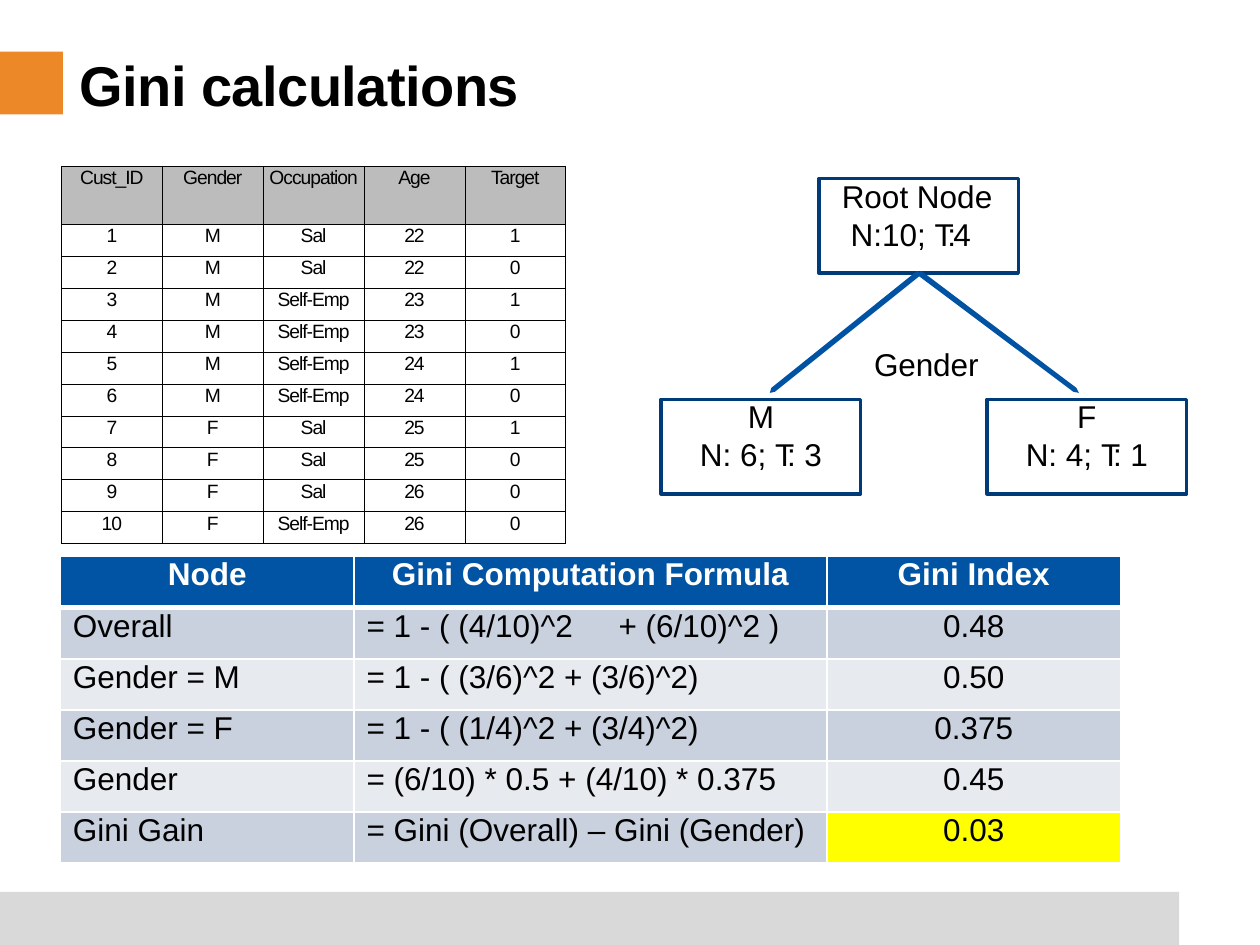
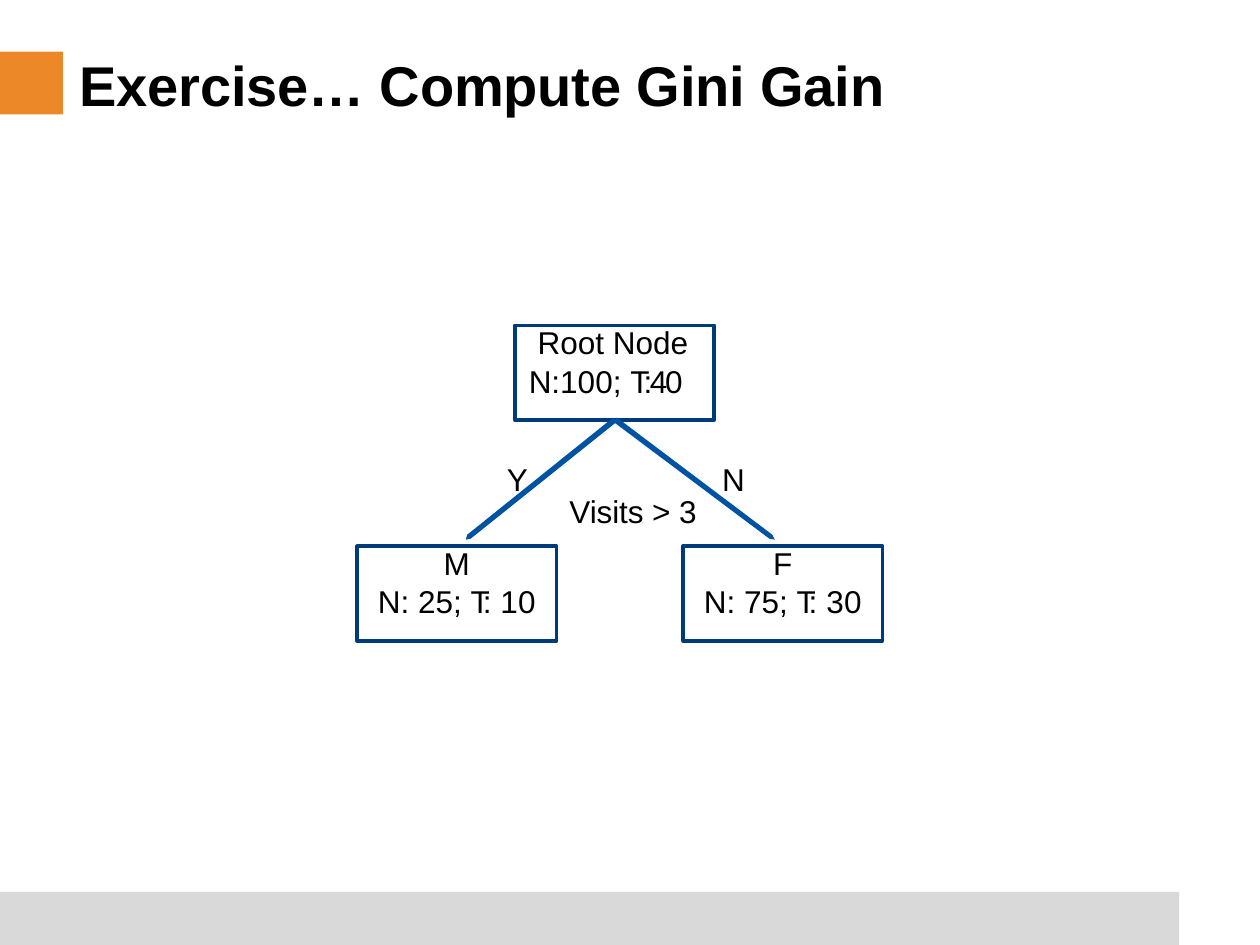
from lxml import etree
from pptx import Presentation, util as u
from pptx.dml.color import RGBColor
from pptx.enum import shapes, text
from pptx.oxml.ns import qn

THEME = {
    "font": "Arial",
    "sizes": {"title": 32, "body": 18, "data": 11},
    "colors": {
        "ink": "000000", "paper": "FFFFFF", "accent": "ED8829", "footer": "D9D9D9",
        "outline": "003B79", "branch": "0052A3", "head": "0054A3", "data_head": "BCBCBC",
        "odd": "C9D1DF", "even": "E7EAEF", "mark": "FFFF00",
    },
}
LEFT, CENTER = text.PP_ALIGN.LEFT, text.PP_ALIGN.CENTER

CUSTOMERS = [
    ("Cust_ID", "Gender", "Occupation", "Age", "Target"),
    ("1", "M", "Sal", "22", "1"),
    ("2", "M", "Sal", "22", "0"),
    ("3", "M", "Self-Emp", "23", "1"),
    ("4", "M", "Self-Emp", "23", "0"),
    ("5", "M", "Self-Emp", "24", "1"),
    ("6", "M", "Self-Emp", "24", "0"),
    ("7", "F", "Sal", "25", "1"),
    ("8", "F", "Sal", "25", "0"),
    ("9", "F", "Sal", "26", "0"),
    ("10", "F", "Self-Emp", "26", "0"),
]
GINI = [
    ("Node", "Gini Computation Formula", "Gini Index"),
    ("Overall", "= 1 - ( (4/10)^2\t+ (6/10)^2 )", "0.48"),
    ("Gender = M", "= 1 - ( (3/6)^2 + (3/6)^2)", "0.50"),
    ("Gender = F", "= 1 - ( (1/4)^2 + (3/4)^2)", "0.375"),
    ("Gender", "= (6/10) * 0.5 + (4/10) * 0.375", "0.45"),
    ("Gini Gain", "= Gini (Overall) – Gini (Gender)", "0.03"),
]
SLIDES = [
    {
        "title": [("Gini calculations", -0.3)], "title_width": 9.2, "root_at": (16.51, 3.6),
        "root": [("N:10; ", 0), ("T:4", -1.7)], "root_indent": 0.64,
        "left": [("N: 6; ", 0), ("T:", -2.1), (" 3", -0.1)],
        "right": [("N: 4; ", 0), ("T:", -2.1), (" 1", -0.1)],
        "labels": [("Gender", 17.62, 6.93, 2.5)],
    },
    {
        "title": [("Exercise… ", -0.1), ("Compute Gini Gain", -0.1)],
        "title_width": 17, "root_at": (10.38, 6.56),
        "root": [("N:100; ", 0), ("T:40", -1.4)], "root_indent": 0.28,
        "left": [("N: 25; ", 0), ("T:", -2.1), (" 10", 0.1)],
        "right": [("N: 75; ", 0), ("T:", -2.1), (" 30", 0.1)],
        "labels": [("Visits > 3", 11.48, 9.88, 3), ("Y", 10.22, 9.25, 0.6),
                   ("N", 14.56, 9.25, 0.6)],
    },
]

NODE_SIZE = (4.02, 1.91)
CHILD_SHIFTS = {"left": (-3.18, 4.45), "right": (3.39, 4.45)}
BRANCHES = [
    [(-0.03, -0.05), (-2.97, 2.31), (-3.0, 2.41), (-2.9, 2.39), (0.05, 0.03)],
    [(0.05, -0.05), (-0.03, 0.03), (3.12, 2.39), (3.23, 2.41), (3.18, 2.31)],
]


def lengths(*values):
    return [u.Cm(value) for value in values]


def color(name):
    return RGBColor.from_string(THEME["colors"][name])


def apply(target, formats):
    for name, value in formats.items():
        setattr(target, name, value)


def paint(fill, name):
    fill.solid()
    fill.fore_color.rgb = color(name)


def prepare(frame, top=0.0, wrap=True):
    apply(frame, {
        "margin_left": 0, "margin_right": 0, "margin_top": u.Cm(top), "margin_bottom": 0,
        "word_wrap": wrap, "auto_size": text.MSO_AUTO_SIZE.NONE,
        "vertical_anchor": text.MSO_ANCHOR.TOP,
    })


def write(para, runs, size="body", ink="ink", bold=False, align=LEFT,
          indent=0, line=None, before=0):
    apply(para, {"alignment": align, "space_before": u.Pt(before)})
    if line:
        para.line_spacing = u.Pt(line)
    if indent:
        props = para._p.get_or_add_pPr()
        props.set("marL", str(u.Cm(indent)))
        props.set("indent", "0")
    for words, spacing in runs:
        span = para.add_run()
        span.text = words
        apply(span.font, {"name": THEME["font"], "bold": bold,
                          "size": u.Pt(THEME["sizes"][size])})
        span.font.color.rgb = color(ink)
        if spacing:
            span._r.get_or_add_rPr().set("spc", str(round(spacing * 100)))


def add_band(page, layout, place, fill):
    band = page.shapes.add_shape(shapes.MSO_SHAPE.RECTANGLE, *lengths(*place))
    band.shadow.inherit = False
    paint(band.fill, fill)
    band.line.fill.background()
    layout.shapes._spTree.insert(2, band._element)


def add_title(page, runs, width):
    title = page.shapes.title
    apply(title, dict(zip(("left", "top", "width", "height"),
                          lengths(1.6, 0.99, width, 1.42))))
    prepare(title.text_frame, 0.03)
    write(title.text_frame.paragraphs[0], runs, "title", bold=True, before=0.9)


def add_node(page, left, top, name, counts, align=CENTER, indents=(0, 0)):
    box = page.shapes.add_shape(shapes.MSO_SHAPE.RECTANGLE,
                                *lengths(left, top, *NODE_SIZE))
    box.shadow.inherit = False
    box.fill.background()
    box.line.color.rgb = color("outline")
    box.line.width = u.Pt(2)
    frame = box.text_frame
    prepare(frame)
    write(frame.paragraphs[0], [(name, 0)], align=align, indent=indents[0], line=20.5)
    write(frame.add_paragraph(), counts, align=align, indent=indents[1], before=0.2)


def add_branch(page, x, y, outline):
    points = [tuple(lengths(x + dx, y + dy)) for dx, dy in outline]
    builder = page.shapes.build_freeform(*points[0])
    builder.add_line_segments(points[1:], close=True)
    branch = builder.convert_to_shape()
    branch.shadow.inherit = False
    paint(branch.fill, "branch")
    branch.line.fill.background()


def add_tree(page, content):
    left, top = content["root_at"]
    add_node(page, left, top, "Root Node", content["root"], LEFT,
             (0.46, content["root_indent"]))
    for name, side in (("M", "left"), ("F", "right")):
        dx, dy = CHILD_SHIFTS[side]
        add_node(page, left + dx, top + dy, name, content[side])
    for outline in BRANCHES:
        add_branch(page, left + NODE_SIZE[0] / 2, top + NODE_SIZE[1], outline)
    for words, x, y, width in content["labels"]:
        label = page.shapes.add_textbox(*lengths(x, y, width, 0.84))
        prepare(label.text_frame, 0.03)
        write(label.text_frame.paragraphs[0], [(words, -0.05)], before=1)


def add_borders(cell, name, widths):
    props = cell._tc.get_or_add_tcPr()
    for side, width in zip("LRTB", widths):
        edge = etree.SubElement(props, qn("a:ln" + side), w=str(u.Pt(width)))
        fill = etree.SubElement(edge, qn("a:solidFill"))
        etree.SubElement(fill, qn("a:srgbClr"), val=THEME["colors"][name])


def add_grid(page, rows, place, widths, heights, look):
    table = page.shapes.add_table(len(rows), len(widths),
                                  *lengths(*place, sum(widths), sum(heights))).table
    apply(table, {"first_row": False, "horz_banding": False})
    for column, width in zip(table.columns, widths):
        column.width = u.Cm(width)
    for r, (row, height) in enumerate(zip(rows, heights)):
        table.rows[r].height = u.Cm(height)
        for c, words in enumerate(row):
            cell = table.cell(r, c)
            edge, fill, spacing, formats = look(r, c)
            apply(cell, {"margin_left": 0, "margin_right": 0,
                         "margin_top": 0, "margin_bottom": 0})
            add_borders(cell, *edge)
            paint(cell.fill, fill)
            para = cell.text_frame.paragraphs[0]
            write(para, [(words, spacing)], **formats)
            if "\t" in words:
                tabs = etree.SubElement(para._p.get_or_add_pPr(), qn("a:tabLst"))
                etree.SubElement(tabs, qn("a:tab"), pos=str(u.Cm(4.48)), algn="l")


def customer_look(r, c):
    formats = {"size": "data", "align": CENTER, "line": 12.8}
    return ("ink", [0.5] * 4), "paper" if r else "data_head", -0.6, formats


def gini_look(r, c):
    edge = ("paper", [1, 1, 3 if r == 1 else 1, 3 if r == 0 else 1])
    if r == 0:
        formats = {"ink": "paper", "bold": True, "align": CENTER, "line": 20.6}
        return edge, "head", 0, formats
    fill = "mark" if (r, c) == (len(GINI) - 1, 2) else "odd" if r % 2 else "even"
    centered = c == 2
    formats = {"align": CENTER if centered else LEFT,
               "indent": 0 if centered else 0.25, "line": 20.6}
    return edge, fill, 0, formats


deck = Presentation()
deck.slide_width, deck.slide_height = lengths(25.4, 19.05)
layout = deck.slide_layouts[5]
pages = [deck.slides.add_slide(layout) for _ in SLIDES]
add_band(pages[0], layout, (0, 1.04, 1.27, 1.27), "accent")
add_band(pages[0], layout, (0, 17.98, 23.77, 1.07), "footer")
for page, content in zip(pages, SLIDES):
    add_title(page, content["title"], content["title_width"])
    add_tree(page, content)
data_rows = len(CUSTOMERS) - 1
add_grid(pages[0], CUSTOMERS, (1.24, 3.35), [10.17 / 5] * 5,
         [1.17] + [6.44 / data_rows] * data_rows, customer_look)
add_grid(pages[0], GINI, (1.22, 11.22), [5.92, 9.53, 5.92], [1.03] * 6, gini_look)
deck.save("out.pptx")
